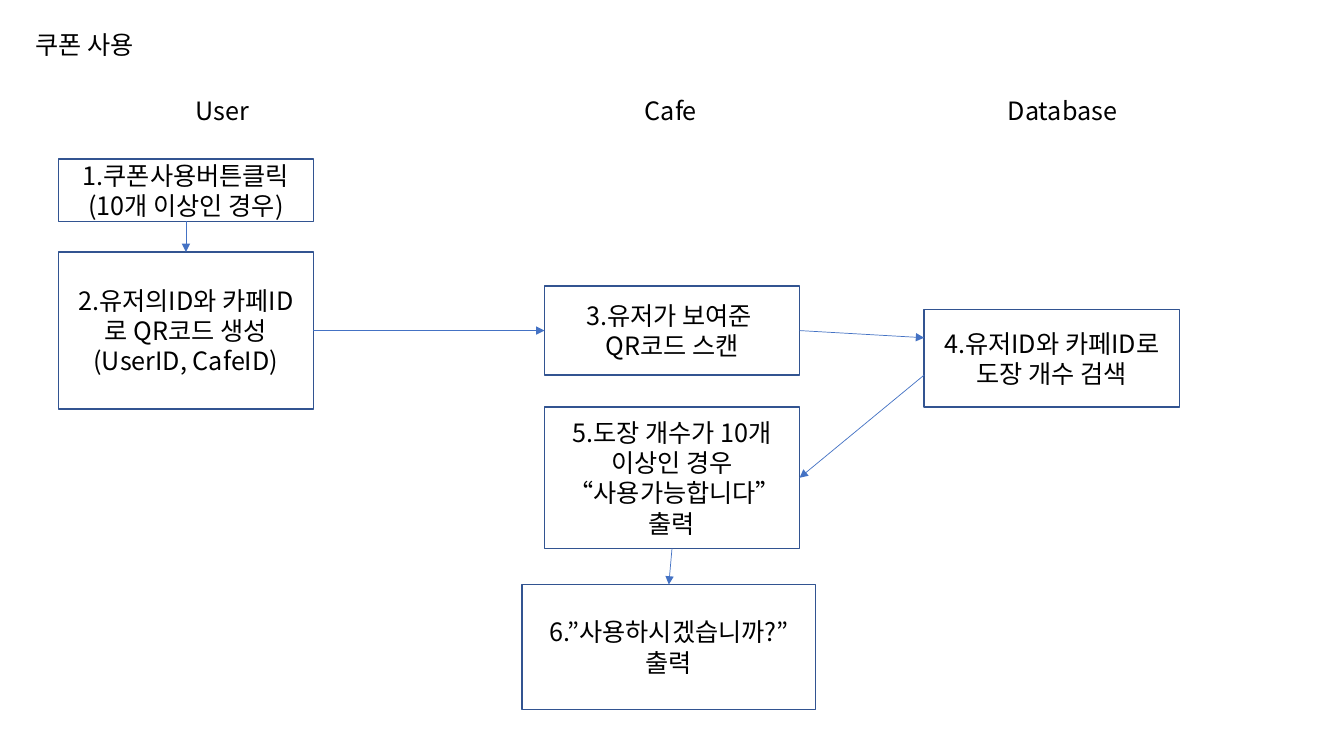
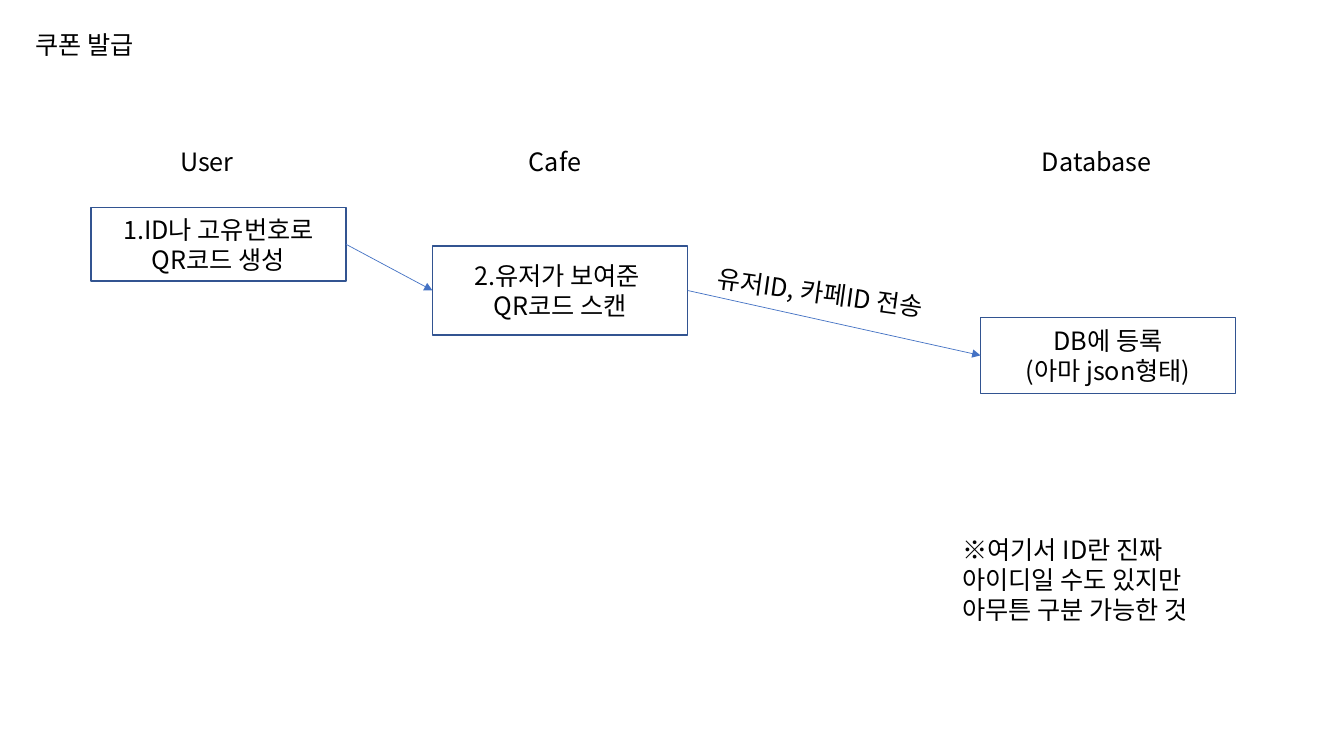
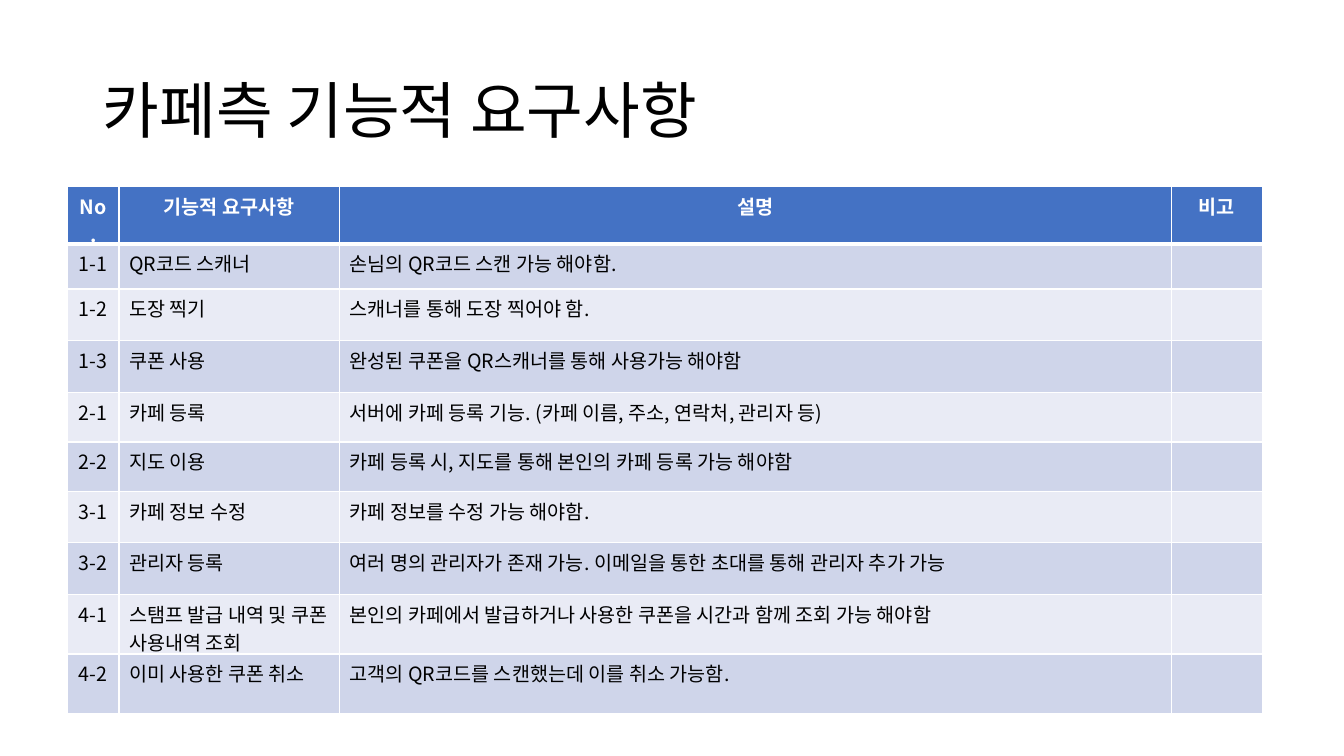
"""Build the coupon flow slides and the cafe requirements table."""
import pptx
import pptx.dml.color
import pptx.enum.shapes
import pptx.enum.text
import pptx.oxml.ns
import pptx.util
from lxml import etree

Cm = pptx.util.Cm
Pt = pptx.util.Pt
RGBColor = pptx.dml.color.RGBColor
ALIGN = pptx.enum.text.PP_ALIGN
ANCHOR = pptx.enum.text.MSO_ANCHOR
qn = pptx.oxml.ns.qn

BLACK = RGBColor(0x00, 0x00, 0x00)
WHITE = RGBColor(0xFF, 0xFF, 0xFF)
OUTLINE = RGBColor(0x32, 0x54, 0x91)
ACCENT = RGBColor(0x44, 0x72, 0xC4)
BAND_DARK = RGBColor(0xCF, 0xD5, 0xEA)
BAND_LIGHT = RGBColor(0xE9, 0xEB, 0xF5)

FONT = "Noto Sans CJK KR"
BODY = {"name": FONT, "size": Pt(18), "bold": False}
HEADLINE = {**BODY, "size": Pt(44)}
CELL = {**BODY, "size": Pt(14)}
HEADER = {**CELL, "bold": True}

TOP, LEFT, BOTTOM, RIGHT = range(4)
SITES = {TOP: (0.5, 0), LEFT: (0, 0.5), BOTTOM: (0.5, 1), RIGHT: (1, 0.5)}
STEP_WIDTH = 6.43
LINE_HEIGHT = 1.02

COLUMNS = (1.3, 5.56, 20.96, 2.29)
ROW_HEIGHTS = (1.14, 1.14, 1.3, 1.32, 1.24, 1.24, 1.3, 1.3, 1.5, 1.5)
REQUIREMENTS = (
    ("No.", "기능적 요구사항", "설명", "비고"),
    ("1-1", "QR코드 스캐너", "손님의 QR코드 스캔 가능 해야함.", ""),
    ("1-2", "도장 찍기", "스캐너를 통해 도장 찍어야 함.", ""),
    ("1-3", "쿠폰 사용", "완성된 쿠폰을 QR스캐너를 통해 사용가능 해야함", ""),
    ("2-1", "카페 등록", "서버에 카페 등록 기능. (카페 이름, 주소, 연락처, 관리자 등)", ""),
    ("2-2", "지도 이용", "카페 등록 시, 지도를 통해 본인의 카페 등록 가능 해야함", ""),
    ("3-1", "카페 정보 수정", "카페 정보를 수정 가능 해야함. ", ""),
    ("3-2", "관리자 등록", "여러 명의 관리자가 존재 가능. 이메일을 통한 초대를 통해 관리자 추가 가능", ""),
    ("4-1", "스탬프 발급 내역 및 쿠폰 사용내역 조회",
     "본인의 카페에서 발급하거나 사용한 쿠폰을 시간과 함께 조회 가능 해야함", ""),
    ("4-2", "이미 사용한 쿠폰 취소", "고객의 QR코드를 스캔했는데 이를 취소 가능함.", ""),
)


def apply(target, values):
    """Set every attribute named in values on target."""
    for name, value in values.items():
        setattr(target, name, value)


def write(frame, text, font=BODY, color=BLACK, align=ALIGN.LEFT):
    """Write each line of text as one paragraph of the frame."""
    for index, line in enumerate(text.split("\n")):
        para = frame.add_paragraph() if index else frame.paragraphs[0]
        para.alignment = align
        if not line:
            size = str(int(font["size"].pt * 100))
            etree.SubElement(para._p, qn("a:endParaRPr"), sz=size)
            continue
        span = para.add_run()
        span.text = line
        apply(span.font, font)
        span.font.color.rgb = color
        etree.SubElement(span.font._element, qn("a:ea"), typeface=FONT)


def add_label(page, text, left, top, width=STEP_WIDTH, height=LINE_HEIGHT,
              wrap=True, font=BODY):
    """Add plain text and return its box."""
    box = page.shapes.add_textbox(Cm(left), Cm(top), Cm(width), Cm(height))
    box.text_frame.word_wrap = wrap
    write(box.text_frame, text, font)
    return box


def add_step(page, text, left, top, height, width=STEP_WIDTH):
    """Add an outlined step of the flow and return it."""
    box = page.shapes.add_shape(pptx.enum.shapes.MSO_SHAPE.RECTANGLE,
                                Cm(left), Cm(top), Cm(width), Cm(height))
    box.shadow.inherit = False
    box.fill.solid()
    box.fill.fore_color.rgb = WHITE
    box.line.color.rgb = OUTLINE
    box.line.width = Pt(1)
    apply(box.text_frame, {"word_wrap": True, "vertical_anchor": ANCHOR.MIDDLE})
    write(box.text_frame, text, align=ALIGN.CENTER)
    return box


def site_point(box, site, shift):
    """Return the middle of one side of the box, moved down by shift."""
    across, down = SITES[site]
    return (int(box.left + box.width * across),
            int(box.top + box.height * down + Cm(shift)))


def add_arrow(page, first, leave, second, arrive, shifts=(0, 0)):
    """Draw an arrow between two steps, glued unless its ends are shifted."""
    connector = page.shapes.add_connector(
        pptx.enum.shapes.MSO_CONNECTOR.STRAIGHT,
        *site_point(first, leave, shifts[0]), *site_point(second, arrive, shifts[1]))
    if not any(shifts):
        connector.begin_connect(first, leave)
        connector.end_connect(second, arrive)
    connector.line.color.rgb = ACCENT
    connector.line.width = Pt(0.5)
    etree.SubElement(connector.line._get_or_add_ln(), qn("a:tailEnd"), type="triangle")
    etree.SubElement(connector._element.spPr, qn("a:effectLst"))


def add_flow_page(deck, title, top, lanes):
    """Add a page with a small title and a heading for each lane."""
    page = deck.slides.add_slide(deck.slide_layouts[6])
    add_label(page, title, 0.64, 0.61, 3.3, wrap=False)
    for name, left in lanes.items():
        add_label(page, name, left, top)
    return page


def add_borders(cell, bottom):
    """Give a cell white borders with the given bottom width."""
    properties = cell._tc.get_or_add_tcPr()
    for side, width in {"L": 1, "R": 1, "T": 1, "B": bottom}.items():
        line = etree.SubElement(properties, qn(f"a:ln{side}"), w=str(Pt(width)))
        fill = etree.SubElement(line, qn("a:solidFill"))
        etree.SubElement(fill, qn("a:srgbClr"), val=str(WHITE))


def add_requirements(page, left, top):
    """Add the banded table of requirements."""
    table = page.shapes.add_table(
        len(REQUIREMENTS), len(COLUMNS), Cm(left), Cm(top),
        Cm(sum(COLUMNS)), Cm(sum(ROW_HEIGHTS))).table
    for column, width in zip(table.columns, COLUMNS):
        column.width = Cm(width)
    for number, (row, height) in enumerate(zip(table.rows, ROW_HEIGHTS)):
        row.height = Cm(height)
        header = number == 0
        band = BAND_DARK if number % 2 else BAND_LIGHT
        for place, (cell, text) in enumerate(zip(row.cells, REQUIREMENTS[number])):
            add_borders(cell, 3 if header else 1)
            cell.fill.solid()
            cell.fill.fore_color.rgb = ACCENT if header else band
            write(cell.text_frame, text, HEADER if header else CELL,
                  WHITE if header else BLACK,
                  ALIGN.CENTER if header or place == 0 else ALIGN.LEFT)


def add_coupon_use(deck):
    """Add the page on using a coupon."""
    page = add_flow_page(deck, "쿠폰 사용", 2.29,
                         {"User": 4.67, "Cafe": 16, "Database": 25.15})
    click = add_step(page, "1.쿠폰사용버튼클릭\n(10개 이상인 경우)", 1.47, 4.01, 1.57)
    create = add_step(page, "2.유저의ID와 카페ID로 QR코드 생성\n(UserID, CafeID)",
                      1.47, 6.35, 3.96)
    scan = add_step(page, "3.유저가 보여준 \nQR코드 스캔", 13.72, 7.21, 2.24)
    search = add_step(page, "4.유저ID와 카페ID로 도장 개수 검색", 23.29, 7.8, 2.46)
    allow = add_step(page, "5.도장 개수가 10개 이상인 경우\n “사용가능합니다” 출력",
                     13.72, 10.26, 3.56)
    confirm = add_step(page, "6.”사용하시겠습니까?” 출력", 13.16, 14.73, 3.15, 7.39)
    add_arrow(page, click, BOTTOM, create, TOP)
    add_arrow(page, create, RIGHT, scan, LEFT)
    add_arrow(page, scan, RIGHT, search, LEFT, (0, -0.52))
    add_arrow(page, search, LEFT, allow, RIGHT, (0.42, 0))
    add_arrow(page, allow, BOTTOM, confirm, TOP)


def add_coupon_issue(deck):
    """Add the page on issuing a coupon."""
    page = add_flow_page(deck, "쿠폰 발급", 3.56,
                         {"User": 4.29, "Cafe": 13.08, "Database": 26.01})
    create = add_step(page, "1.ID나 고유번호로\nQR코드 생성", 2.29, 5.23, 1.85)
    scan = add_step(page, "2.유저가 보여준 \nQR코드 스캔", 10.9, 6.2, 2.24)
    register = add_step(page, "DB에 등록\n(아마 json형태)", 24.71, 8, 1.91)
    add_arrow(page, create, RIGHT, scan, LEFT)
    add_arrow(page, scan, RIGHT, register, LEFT)
    message = add_label(page, "유저ID, 카페ID 전송", 17.81, 6.91, 6.4, wrap=False)
    message.rotation = 8
    add_label(page, "※여기서 ID란 진짜 \n아이디일 수도 있지만 \n아무튼 구분 가능한 것",
              24, 13.34, 7.85, 2.57)


def add_cafe_requirements(deck):
    """Add the page with the requirements of the cafe."""
    page = deck.slides.add_slide(deck.slide_layouts[6])
    title = add_label(page, "카페측 기능적 요구사항", 2.34, 1.02, 29.21, 3.68, font=HEADLINE)
    title.text_frame.vertical_anchor = ANCHOR.MIDDLE
    title.text_frame.paragraphs[0].line_spacing = 0.9
    add_requirements(page, 1.7, 4.7)


def main():
    """Build and save the deck."""
    deck = pptx.Presentation()
    apply(deck, {"slide_width": Cm(33.87), "slide_height": Cm(19.05)})
    add_coupon_use(deck)
    add_coupon_issue(deck)
    add_cafe_requirements(deck)
    deck.save("out.pptx")


main()
